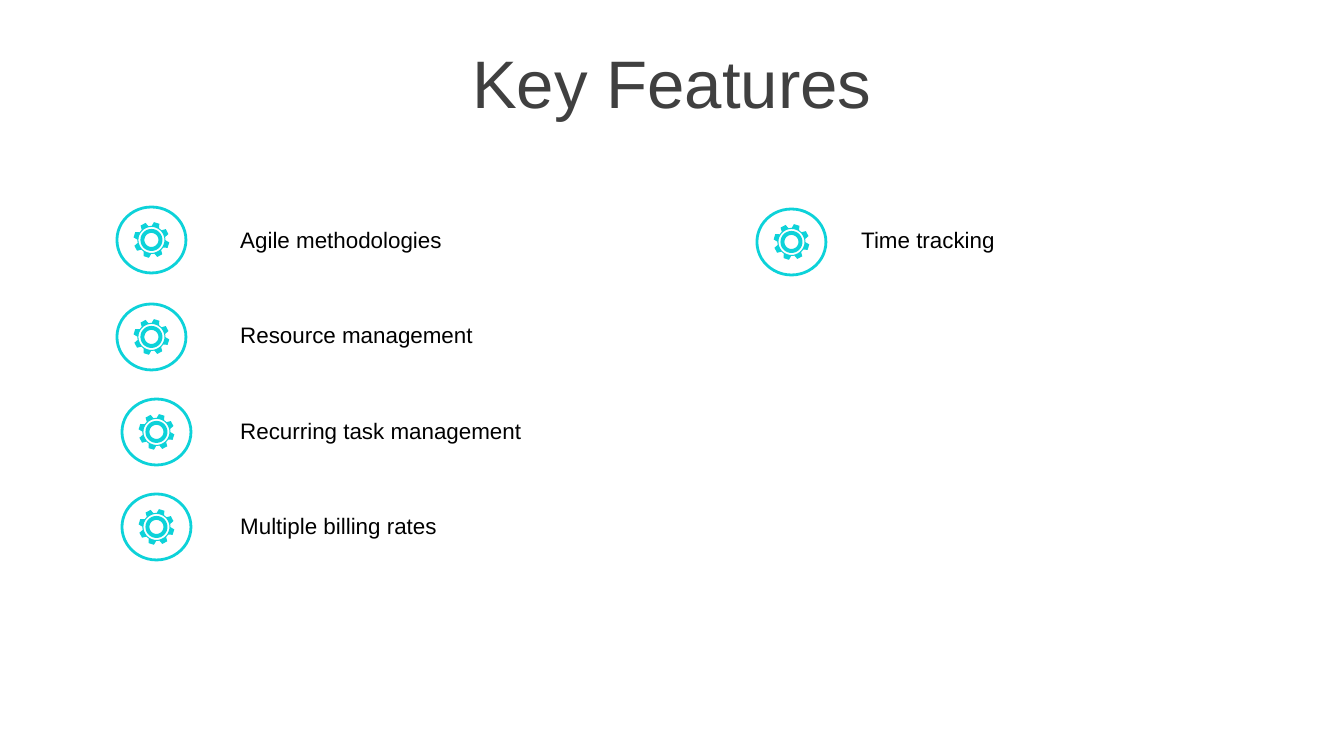
from math import cos, sin, radians
from pptx import Presentation
from pptx.dml.color import RGBColor
from pptx.enum.shapes import MSO_SHAPE as Shape
from pptx.enum.text import MSO_ANCHOR as Anchor, MSO_AUTO_SIZE as Size, PP_ALIGN as Align
from pptx.util import Inches, Pt

PX = Inches(10) / 1344
CYAN = RGBColor(0x0D, 0xD2, 0xD9)
WHITE = RGBColor(0xFF, 0xFF, 0xFF)
GREY = RGBColor(0x40, 0x40, 0x40)
BLACK = RGBColor(0, 0, 0)

FEATURES = [
    ("Agile methodologies\u00a0", 227, 219, 117, 207),
    ("Resource management", 227, 314, 117, 304),
    ("Recurring task management", 227, 410, 122, 399),
    ("Multiple billing rates", 227, 505, 122, 494),
    ("Time tracking", 848, 219, 757, 209),
]


def emu(*lengths):
    """Turn pixel lengths into EMU."""
    return [round(n * PX) for n in lengths]


def write(shapes, box, text, size, color):
    """Place one line of text, centred vertically in its box."""
    label = shapes.add_textbox(*emu(*box))
    frame = label.text_frame
    frame.word_wrap = True
    frame.vertical_anchor = Anchor.MIDDLE
    frame.text = text
    line = frame.paragraphs[0]
    font = line.runs[0].font
    font.name, font.size = "Arial", Pt(size)
    font.color.rgb = color
    return frame, line


def title(shapes, box):
    """Write the centred heading."""
    _, line = write(shapes, box, "Key Features", 36, GREY)
    line.alignment = Align.CENTER
    line.space_before = Pt(5)


def gear(shapes, x, y):
    """Draw an eight-toothed gear with two inner rings around a centre."""
    def arc(polar):
        return [tuple(emu(x + r * cos(radians(a)), y + r * sin(radians(a))))
                for r, a in polar]

    tooth = [(14, 1), (18, 8), (18, 26), (14, 33), (14, 39)]
    rim = arc((r, a + turn) for turn in range(0, 360, 45) for r, a in tooth)
    rings = [arc((r, a) for a in range(0, 360, 10)) for r in (13, 11, 7)]
    pen = shapes.build_freeform(*rim[0], scale=1.0)
    pen.add_line_segments(rim[1:], close=True)
    for ring in rings:
        pen.move_to(*ring[0])
        pen.add_line_segments(ring[1:], close=True)
    wheel = pen.convert_to_shape()
    wheel.shadow.inherit = False
    wheel.fill.solid()
    wheel.fill.fore_color.rgb = CYAN
    wheel.line.fill.background()


def badge(shapes, box):
    """Group an outlined ellipse with a gear in its middle."""
    left, top, width, height = box
    group = shapes.add_group_shape().shapes
    disc = group.add_shape(Shape.OVAL, *emu(*box))
    disc.shadow.inherit = False
    disc.fill.solid()
    disc.fill.fore_color.rgb = WHITE
    disc.line.color.rgb = CYAN
    disc.line.width = Pt(1.5)
    gear(group, left + width / 2, top + height / 2)


def main():
    """Build the key features slide."""
    deck = Presentation()
    deck.slide_width, deck.slide_height = emu(1344, 756)
    shapes = deck.slides.add_slide(deck.slide_layouts[6]).shapes
    title(shapes, (0, 39, 1344, 85))
    for text, left, top, x, y in FEATURES:
        frame, _ = write(shapes, (left, top, 417, 41), text, 12, BLACK)
        frame.auto_size = Size.SHAPE_TO_FIT_TEXT
        badge(shapes, (x, y, 69, 66))
    deck.save("out.pptx")


main()
